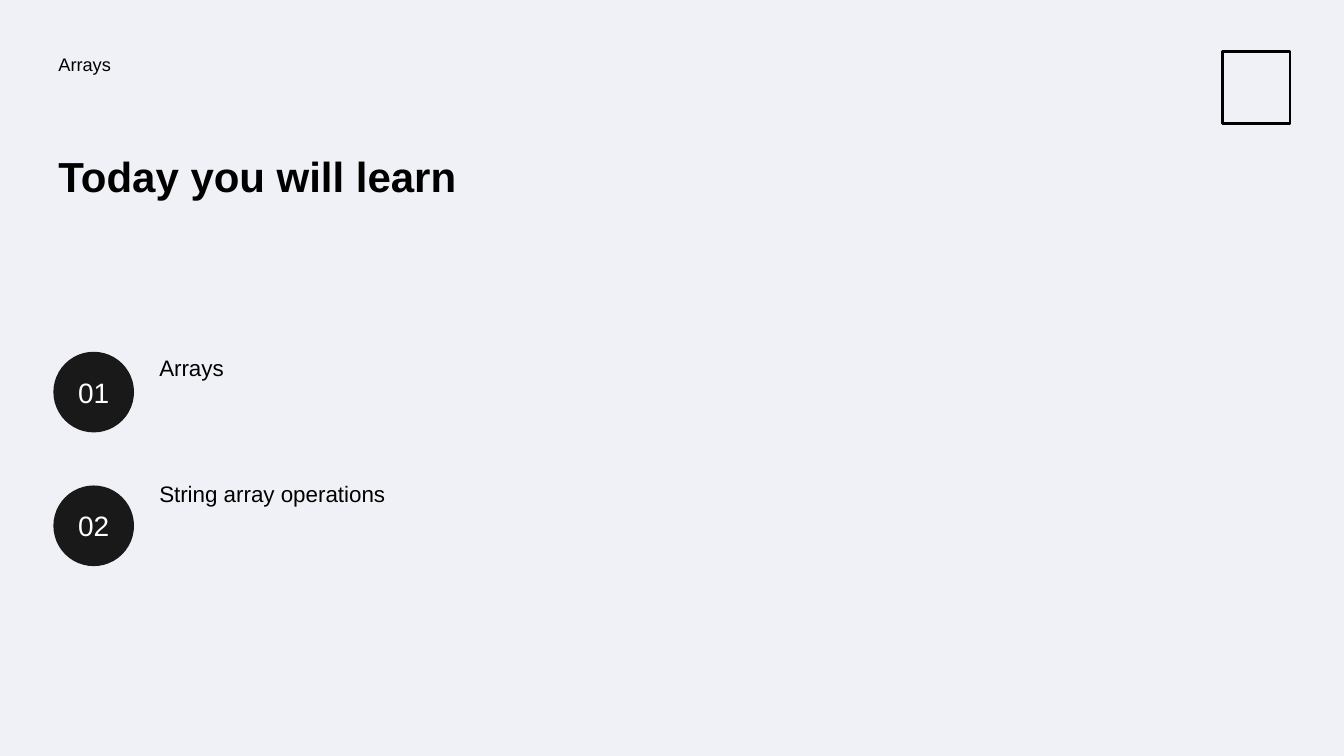
import pptx
import pptx.dml.color
import pptx.enum.shapes
import pptx.enum.text
import pptx.util

Pt = pptx.util.Pt
ANCHOR = pptx.enum.text.MSO_ANCHOR
ALIGN = pptx.enum.text.PP_ALIGN
SHAPE = pptx.enum.shapes.MSO_SHAPE

FONT = "Arial"
BACKGROUND, BLACK, DISC, NUMBER = "F0F1F6", "000000", "191919", "FEFFFF"
LEFT = 38.16
TOPICS = ["Arrays", "String array operations"]


def color(hex_string):
    return pptx.dml.color.RGBColor.from_string(hex_string)


def write(shape, text, size, hex_string, inset=3.6, bold=False,
          align=ALIGN.LEFT, anchor=ANCHOR.TOP, spacing=0.9):
    frame = shape.text_frame
    frame.word_wrap = True
    frame.vertical_anchor = anchor
    frame.margin_left = frame.margin_right = Pt(inset)
    frame.margin_top = frame.margin_bottom = Pt(inset)
    paragraph = frame.paragraphs[0]
    paragraph.alignment = align
    paragraph.line_spacing = spacing
    run = paragraph.add_run()
    run.text = text
    run.font.name = FONT
    run.font.size = Pt(size)
    run.font.bold = bold
    run.font.color.rgb = color(hex_string)


def add_text(slide, left, top, width, height, text, size, bold=False):
    box = slide.shapes.add_textbox(Pt(left), Pt(top), Pt(width), Pt(height))
    write(box, text, size, BLACK, bold=bold)


def add_header(slide, left, top):
    # Running subject and slide title
    add_text(slide, left, top, 442, 36, "Arrays", 13)
    add_text(slide, left, top + 72, 406, 107, "Today you will learn", 30, bold=True)


def add_emblem(slide, left, top, width, height):
    # Plain outlined badge in the corner
    badge = slide.shapes.add_shape(SHAPE.RECTANGLE, Pt(left), Pt(top), Pt(width), Pt(height))
    badge.shadow.inherit = False
    badge.fill.background()
    badge.line.color.rgb = color(BLACK)
    badge.line.width = Pt(2)


def add_agenda(slide, left, top, topics):
    # Numbered discs, each with its topic to the right
    diameter, disc_step, topic_step = 57.6, 95.5, 90
    for index, topic in enumerate(topics):
        disc = slide.shapes.add_shape(SHAPE.OVAL, Pt(left), Pt(top + index * disc_step),
                                      Pt(diameter), Pt(diameter))
        disc.shadow.inherit = False
        disc.fill.solid()
        disc.fill.fore_color.rgb = color(DISC)
        disc.line.fill.background()
        write(disc, f"{index + 1:02d}", 20, NUMBER, inset=0,
              align=ALIGN.CENTER, anchor=ANCHOR.MIDDLE, spacing=1.0)
        add_text(slide, left + 72, top + index * topic_step, 333.5, 71.5, topic, 16)


def main():
    presentation = pptx.Presentation()
    presentation.slide_width, presentation.slide_height = Pt(960), Pt(540)
    slide = presentation.slides.add_slide(presentation.slide_layouts[6])
    slide.background.fill.solid()
    slide.background.fill.fore_color.rgb = color(BACKGROUND)
    add_emblem(slide, 873.5, 37, 48, 51.5)
    add_header(slide, LEFT, 36)
    add_agenda(slide, LEFT, 251.3, TOPICS)
    presentation.save("out.pptx")


if __name__ == "__main__":
    main()
